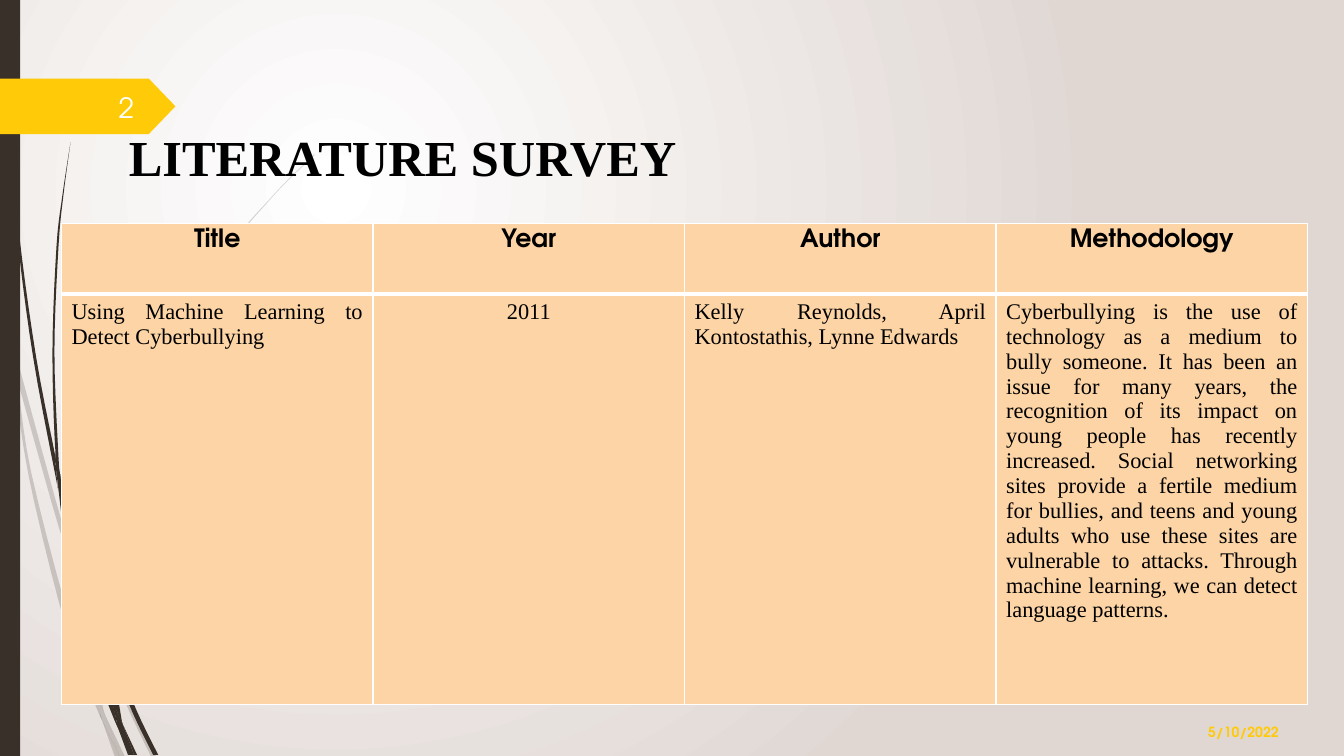
from lxml import etree
from pptx import Presentation, util as u
from pptx.dml.color import RGBColor
from pptx.enum import shapes, text
from pptx.oxml.ns import qn

WIDTH, HEIGHT = 13.33, 7.5
SANS, SERIF = "TeX Gyre Adventor", "Times New Roman"
COLORS = {"bark": "39302A", "gold": "FFCA08", "peach": "FCD4A5", "white": "FFFFFF",
          "number": "FEFFFF", "black": "000000", "mist": "E0D7D3"}
ALIGN = text.PP_ALIGN
LEFT, CENTER, RIGHT, JUSTIFY = ALIGN.LEFT, ALIGN.CENTER, ALIGN.RIGHT, ALIGN.JUSTIFY

# Content
TITLE, NUMBER, DATE = "LITERATURE SURVEY", "2", "5/10/2022"
SURVEY = [
    ("Title", "Year", "Author", "Methodology"),
    ("Using Machine Learning to Detect Cyberbullying", "2011",
     "Kelly Reynolds, April Kontostathis, Lynne Edwards",
     "Cyberbullying is the use of technology as a medium to bully someone. It has been an "
     "issue for many years, the recognition of its impact on young people has recently "
     "increased. Social networking sites provide a fertile medium for bullies, and teens and "
     "young adults who use these sites are vulnerable to attacks. Through machine learning, "
     "we can detect language patterns."),
]
BODY_ALIGN = (JUSTIFY, CENTER, JUSTIFY, JUSTIFY)
TABLE_LEFT, TABLE_TOP, COLUMN, ROWS = 0.61, 2.22, 3.09, (0.7, 4.07)

# Grass blades: each has two edges, smoothed between their points (inches)
PALE_BLADES = [
    ([(.11, 3.5), (.09, 3.22), (0, 2.82)], [(0, 2.99), (.1, 3.44), (.11, 3.5)]),
    ([(.14, 3.45), (.62, 5.2), (.85, 5.86)], [(.84, 5.99), (.58, 5.22), (.17, 3.76)]),
    ([(.88, 5.96), (.92, 6.07), (1.27, 6.92), (1.55, 7.51)],
     [(1.5, 7.51), (1.23, 6.94), (.88, 6.1)]),
    ([(1.19, 7.51), (1.24, 7.51)], [(1.05, 7.11)]),
    ([(.11, 3.5), (.17, 3.76), (.31, 4.69), (.7, 6.19), (.93, 6.83)],
     [(.99, 7.07), (1.01, 7.14), (.92, 6.93), (.65, 6.21), (.28, 4.7), (.11, 3.5)]),
    ([(.84, 5.99), (.87, 6.46), (.93, 6.83), (.96, 6.92), (1.05, 7.11)],
     [(1.03, 7.06), (.91, 6.46), (.88, 6.1), (.88, 6.08), (.84, 5.99)]),
    ([(.88, 5.96), (.88, 5.84), (1.1, 4.62), (1.6, 3.49), (2.29, 2.45), (2.68, 1.98),
      (2.9, 1.75), (3.12, 1.54)],
     [(3.12, 1.53), (2.89, 1.75), (2.68, 1.97), (2.28, 2.44), (1.58, 3.48), (1.07, 4.61),
      (.85, 5.84), (.85, 5.86)]),
    ([(1.01, 7.14), (1.14, 7.51)], [(1.19, 7.51)]),
    ([(.88, 6.08), (.88, 6.1), (.88, 5.96)], [(.85, 5.86), (.84, 5.99)]),
    ([(.93, 6.83), (.99, 7.07), (1.01, 7.14), (1.19, 7.51)], [(1.05, 7.11), (.96, 6.92)]),
]
DARK_BLADES = [
    ([(.03, 0), (.04, .48), (.07, 1.1), (.17, 2.33), (.33, 3.55), (.56, 4.77), (.57, 4.81)],
     [(.55, 4.57), (.55, 4.53), (.36, 3.55), (.19, 2.32), (.08, 1.09), (.05, .48), (.04, 0)]),
    ([(.6, 4.72), (.93, 5.9), (1.06, 6.31)], [(1.06, 6.45), (.88, 5.92), (.64, 5.05)]),
    ([(1.1, 6.41), (1.13, 6.49), (1.36, 7.06), (1.57, 7.49)],
     [(1.52, 7.49), (1.32, 7.08), (1.11, 6.56)]),
    ([(.57, 4.77), (.64, 5.05), (.72, 5.56), (.98, 6.57), (1.1, 6.91), (1.16, 7.17)],
     [(1.17, 7.22), (1.11, 7.08), (.93, 6.59), (.68, 5.57), (.57, 4.77)]),
    ([(.6, 4.72), (.58, 4.53), (.54, 3.49), (.58, 2.45), (.63, 1.93), (.7, 1.41)],
     [(.7, 1.41), (.62, 1.93), (.56, 2.45), (.52, 3.49), (.55, 4.49), (.6, 4.72)]),
    ([(1.22, 7.19), (1.33, 7.49)], [(1.36, 7.49)]),
    ([(.55, 4.49), (.55, 4.53), (.57, 4.77), (.64, 5.05)], [(.6, 4.72)]),
    ([(1.1, 6.41), (1.11, 6.33), (1.25, 5.52), (1.58, 4.76), (2.05, 4.06), (2.31, 3.74),
      (2.45, 3.59), (2.61, 3.44)],
     [(2.6, 3.44), (2.45, 3.58), (2.31, 3.73), (2.04, 4.05), (1.56, 4.74), (1.22, 5.51),
      (1.06, 6.31)]),
    ([(1.17, 7.22), (1.27, 7.49)], [(1.31, 7.49)]),
    ([(1.06, 6.45), (1.1, 6.91), (1.16, 7.06), (1.22, 7.19)],
     [(1.21, 7.16), (1.11, 6.56), (1.09, 6.51), (1.06, 6.45)]),
    ([(1.06, 6.31), (1.06, 6.45), (1.09, 6.51), (1.11, 6.56)], [(1.1, 6.41)]),
    ([(1.1, 6.91), (1.16, 7.17), (1.17, 7.22), (1.3, 7.49)],
     [(1.33, 7.49), (1.22, 7.19), (1.16, 7.06)]),
]


def color(name):
    return RGBColor.from_string(COLORS[name])


def paint(shape, name):
    shape.shadow.inherit = False
    shape.fill.solid()
    shape.fill.fore_color.rgb = color(name)
    shape.line.fill.background()


def write(frame, words, font=SANS, size=18, ink="black", bold=False, align=LEFT,
          anchor=None):
    frame.word_wrap = True
    if anchor is not None:
        frame.vertical_anchor = anchor
    para = frame.paragraphs[0]
    para.alignment = align
    span = para.add_run()
    span.text = words
    span.font.name, span.font.size, span.font.bold = font, u.Pt(size), bold
    span.font.color.rgb = color(ink)


def add_text(page, area, words, **style):
    box = page.shapes.add_textbox(*(u.Inches(length) for length in area))
    write(box.text_frame, words, **style)


def smooth(edge, steps=5):
    """Catmull-Rom curve through the points of one edge."""
    padded = [edge[0], *edge, edge[-1]]
    curve = [edge[0]]
    for a, b, c, d in zip(padded, padded[1:], padded[2:], padded[3:]):
        for step in range(1, steps + 1):
            t = step / steps
            curve.append(tuple(
                q + t / 2 * (r - p + t * (2 * p - 5 * q + 4 * r - s
                                          + t * (3 * q - p - 3 * r + s)))
                for p, q, r, s in zip(a, b, c, d)))
    return curve


def add_blade(page, edges, opacity=None):
    outline = [(u.Inches(x), u.Inches(y)) for edge in edges for x, y in smooth(edge)]
    builder = page.shapes.build_freeform(*outline[0])
    builder.add_line_segments(outline[1:], close=True)
    blade = builder.convert_to_shape()
    paint(blade, "bark")
    if opacity:
        tint = blade.fill._xPr.find(".//" + qn("a:srgbClr"))
        etree.SubElement(tint, qn("a:alpha"), val=str(opacity * 1000))


def add_borders(cell, widths):
    props = cell._tc.get_or_add_tcPr()
    for place, (side, width) in enumerate(widths.items()):
        line = etree.Element(qn("a:ln" + side), w=str(u.Pt(width)))
        fill = etree.SubElement(line, qn("a:solidFill"))
        etree.SubElement(fill, qn("a:srgbClr"), val=COLORS["white"])
        props.insert(place, line)


def add_background(page):
    fill = page.background.fill
    fill.gradient()
    for stop, name, position in zip(fill.gradient_stops, ("white", "mist"), (0, 1)):
        stop.color.rgb = color(name)
        stop.position = position
    linear = page.background._cSld.find(".//" + qn("a:lin"))
    circle = etree.Element(qn("a:path"), {"path": "circle"})
    etree.SubElement(circle, qn("a:fillToRect"), l="50000", t="50000", r="100000", b="100000")
    linear.getparent().replace(linear, circle)


def add_survey(page):
    columns = len(SURVEY[0])
    area = (TABLE_LEFT, TABLE_TOP, COLUMN * columns, sum(ROWS))
    table = page.shapes.add_table(len(SURVEY), columns, *map(u.Inches, area)).table
    for row, height in zip(table.rows, ROWS):
        row.height = u.Inches(height)
    for r, words in enumerate(SURVEY):
        for c, entry in enumerate(words):
            cell = table.cell(r, c)
            cell.fill.solid()
            cell.fill.fore_color.rgb = color("peach")
            if r == 0:
                write(cell.text_frame, entry, bold=True, align=CENTER)
            else:
                write(cell.text_frame, entry, font=SERIF, size=16, align=BODY_ALIGN[c])
            add_borders(cell, {"L": 1, "R": 1, "T": 3 if r else 1, "B": 1 if r else 3})


def main():
    deck = Presentation()
    deck.slide_width, deck.slide_height = u.Inches(WIDTH), u.Inches(HEIGHT)
    page = deck.slides.add_slide(deck.slide_layouts[6])
    add_background(page)

    # Grass and side bar
    for edges in PALE_BLADES:
        add_blade(page, edges, opacity=20)
    for edges in DARK_BLADES:
        add_blade(page, edges)
    bar = page.shapes.add_shape(shapes.MSO_SHAPE.RECTANGLE, 0, 0, u.Inches(0.2),
                                deck.slide_height)
    paint(bar, "bark")

    # Page number tag and date
    tag = page.shapes.add_shape(shapes.MSO_SHAPE.PENTAGON, 0, u.Inches(0.78),
                                u.Inches(1.74), u.Inches(0.55))
    tag.adjustments[0] = 0.48
    paint(tag, "gold")
    middle = text.MSO_ANCHOR.MIDDLE
    add_text(page, (0.58, 0.86, 0.85, 0.4), NUMBER, size=20, ink="number", align=RIGHT,
             anchor=middle)
    add_text(page, (11.7, 7.1, 1.08, 0.33), DATE, size=10, ink="gold", bold=True,
             align=RIGHT, anchor=middle)

    # Heading and table
    add_text(page, (1.18, 1.2, 7.18, 0.71), TITLE, font=SERIF, size=36, bold=True)
    add_survey(page)
    deck.save("out.pptx")


if __name__ == "__main__":
    main()
